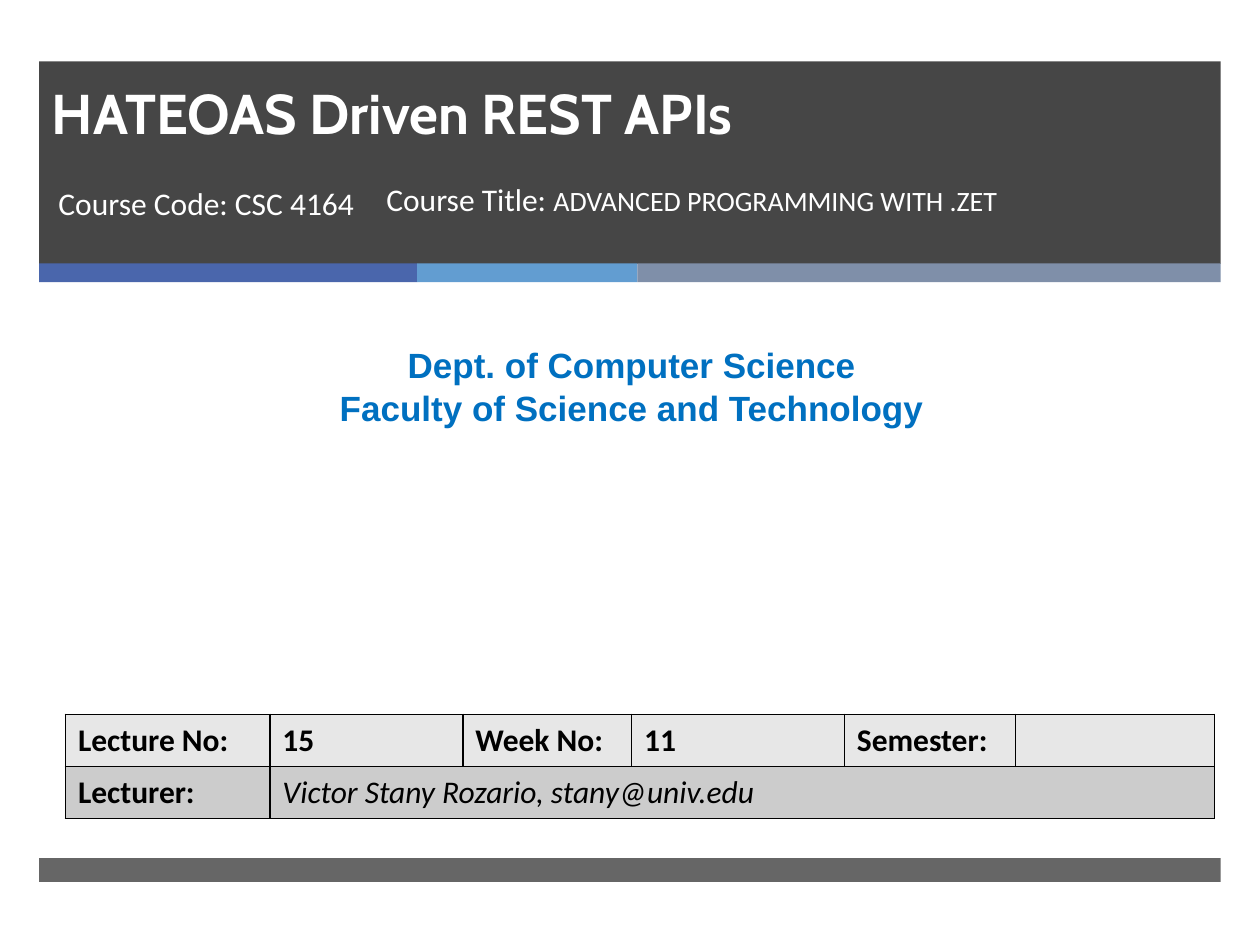
from lxml import etree
from pptx import Presentation
from pptx.dml.color import RGBColor
from pptx.enum.shapes import MSO_SHAPE
from pptx.enum.text import MSO_ANCHOR, MSO_AUTO_SIZE, PP_ALIGN
from pptx.oxml.ns import qn
from pptx.util import Cm, Pt

RECTANGLE = MSO_SHAPE.RECTANGLE
BOTTOM, MIDDLE = MSO_ANCHOR.BOTTOM, MSO_ANCHOR.MIDDLE
NO_AUTOFIT = MSO_AUTO_SIZE.NONE
LEFT, CENTER = PP_ALIGN.LEFT, PP_ALIGN.CENTER
TITLE_ONLY = 5


def color(hex_string):
    return RGBColor.from_string(hex_string)


def format_run(run, size, font_name, hex_string, bold=False, italic=False):
    font = run.font
    font.size = Pt(size)
    font.name = font_name
    font.color.rgb = color(hex_string)
    font.bold = bold
    font.italic = italic


presentation = Presentation()
presentation.slide_width = Cm(25.4)
presentation.slide_height = Cm(19.05)
slide = presentation.slides.add_slide(presentation.slide_layouts[TITLE_ONLY])

# Header band, three accent strips and footer band: left, top, width, height, fill, opacity
bands = [
    (0.79, 1.24, 23.82, 4.08, "262626", 85),
    (0.79, 5.31, 7.62, 0.38, "4A66AC", 100),
    (8.41, 5.31, 4.44, 0.38, "629DD1", 100),
    (12.85, 5.31, 11.76, 0.38, "7F8FA9", 100),
    (0.79, 17.3, 23.82, 0.48, "262626", 70),
]
for left, top, width, height, fill, opacity in bands:
    band = slide.shapes.add_shape(RECTANGLE, Cm(left), Cm(top), Cm(width), Cm(height))
    band.shadow.inherit = False
    band.fill.solid()
    band.fill.fore_color.rgb = color(fill)
    band.line.fill.background()
    if opacity < 100:
        fill_color = band.element.spPr.find(qn("a:solidFill"))[0]
        etree.SubElement(fill_color, qn("a:alpha"), val=str(opacity * 1000))

# Title, brought in front of the header band
title = slide.shapes.title
title.left, title.top, title.width, title.height = Cm(0.79), Cm(1.65), Cm(22.07), Cm(1.42)
title.text_frame.text = "HATEOAS Driven REST APIs"
title.text_frame.auto_size = NO_AUTOFIT
title.text_frame.vertical_anchor = BOTTOM
title.text_frame.paragraphs[0].alignment = LEFT
format_run(title.text_frame.paragraphs[0].runs[0], 32, "Cabin", "FFFFFF", bold=True)
title.element.getparent().append(title.element)

# Course line and department: left, top, width, height, left inset, alignment,
# then paragraphs of runs (text, size, font, color, bold)
text_boxes = [
    (0.79, 3.59, 6.76, 1.96, 0.39, LEFT,
     [[("Course Code: CSC 4164", 18, "Calibri", "FFFFFF", False)]]),
    (7.54, 3.51, 13.26, 1.96, 0.25, LEFT,
     [[("Course Title: ", 18, "Calibri", "FFFFFF", False),
       ("ADVANCED PROGRAMMING WITH .ZET", 16, "Calibri", "FFFFFF", False)]]),
    (0.2, 6.81, 25.07, 1.96, 0.25, CENTER,
     [[("Dept. of Computer Science", 20, "Arial", "0070C0", True)],
      [("Faculty of Science and Technology", 20, "Arial", "0070C0", True)]]),
]
for left, top, width, height, inset, alignment, paragraphs in text_boxes:
    text_box = slide.shapes.add_textbox(Cm(left), Cm(top), Cm(width), Cm(height))
    text_frame = text_box.text_frame
    text_frame.word_wrap = True
    text_frame.margin_left = Cm(inset)
    for index, runs in enumerate(paragraphs):
        paragraph = text_frame.add_paragraph() if index else text_frame.paragraphs[0]
        paragraph.alignment = alignment
        for text, size, font_name, hex_string, bold in runs:
            run = paragraph.add_run()
            run.text = text
            format_run(run, size, font_name, hex_string, bold)

# Lecture table
column_widths = [4.12, 3.89, 3.4, 4.29, 3.45, 4.01]
row_height = 1.05
rows = [
    ("E7E7E7", ["Lecture No:", "15", "Week No:", "11", "Semester:", ""]),
    ("CCCCCC", ["Lecturer:", "Victor Stany Rozario, stany@univ.edu", "", "", "", ""]),
]
table = slide.shapes.add_table(
    len(rows), len(column_widths), Cm(1.32), Cm(14.4),
    Cm(sum(column_widths)), Cm(row_height * len(rows))).table
for column, width in zip(table.columns, column_widths):
    column.width = Cm(width)
table.cell(1, 1).merge(table.cell(1, 5))

for row_index, (fill, texts) in enumerate(rows):
    table.rows[row_index].height = Cm(row_height)
    for column_index, text in enumerate(texts):
        cell = table.cell(row_index, column_index)
        cell.vertical_anchor = MIDDLE
        if text:
            cell.text_frame.text = text
            is_lecturer = (row_index, column_index) == (1, 1)
            format_run(cell.text_frame.paragraphs[0].runs[0], 18, "Calibri", "000000",
                       bold=not is_lecturer, italic=is_lecturer)
        # Borders come before the fill in the cell properties
        properties = cell._tc.get_or_add_tcPr()
        for side in ("a:lnL", "a:lnR", "a:lnT", "a:lnB"):
            border = etree.SubElement(properties, qn(side), w=str(Pt(1)))
            border_fill = etree.SubElement(border, qn("a:solidFill"))
            etree.SubElement(border_fill, qn("a:srgbClr"), val="000000")
        cell.fill.solid()
        cell.fill.fore_color.rgb = color(fill)

presentation.save("out.pptx")
